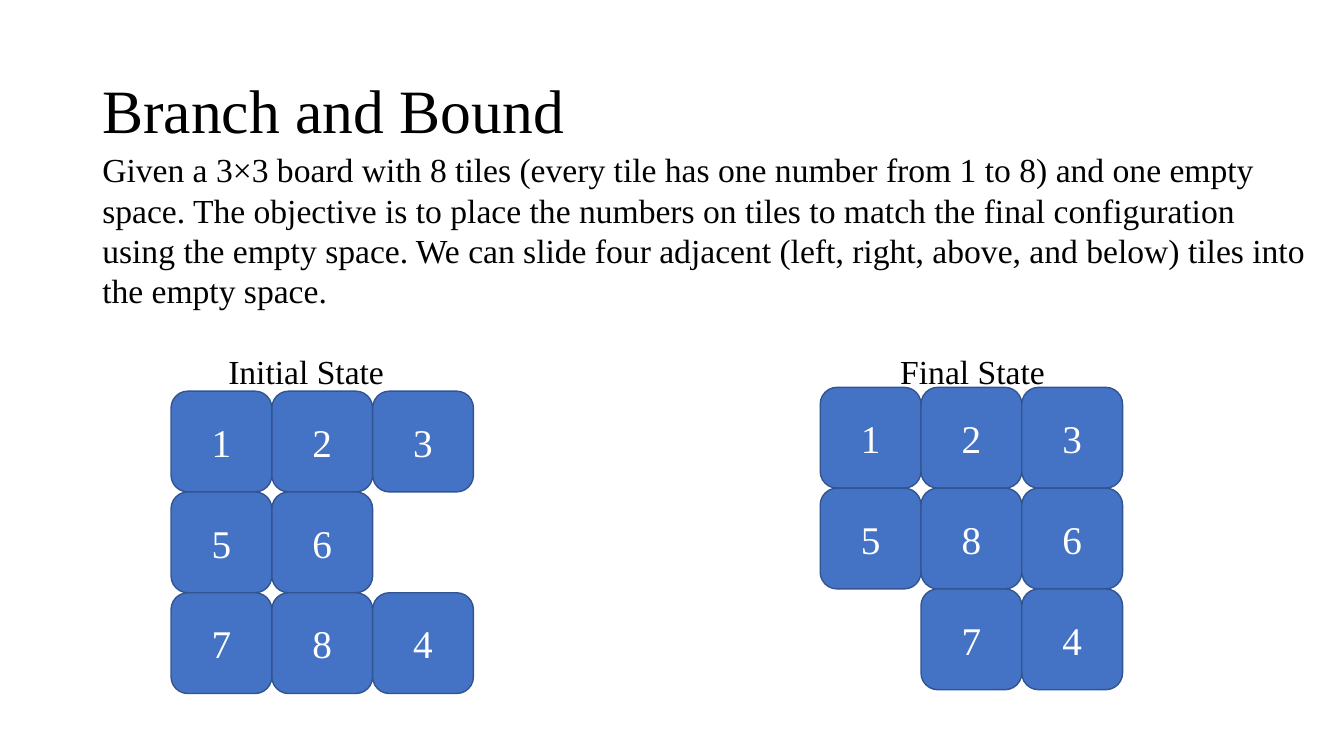
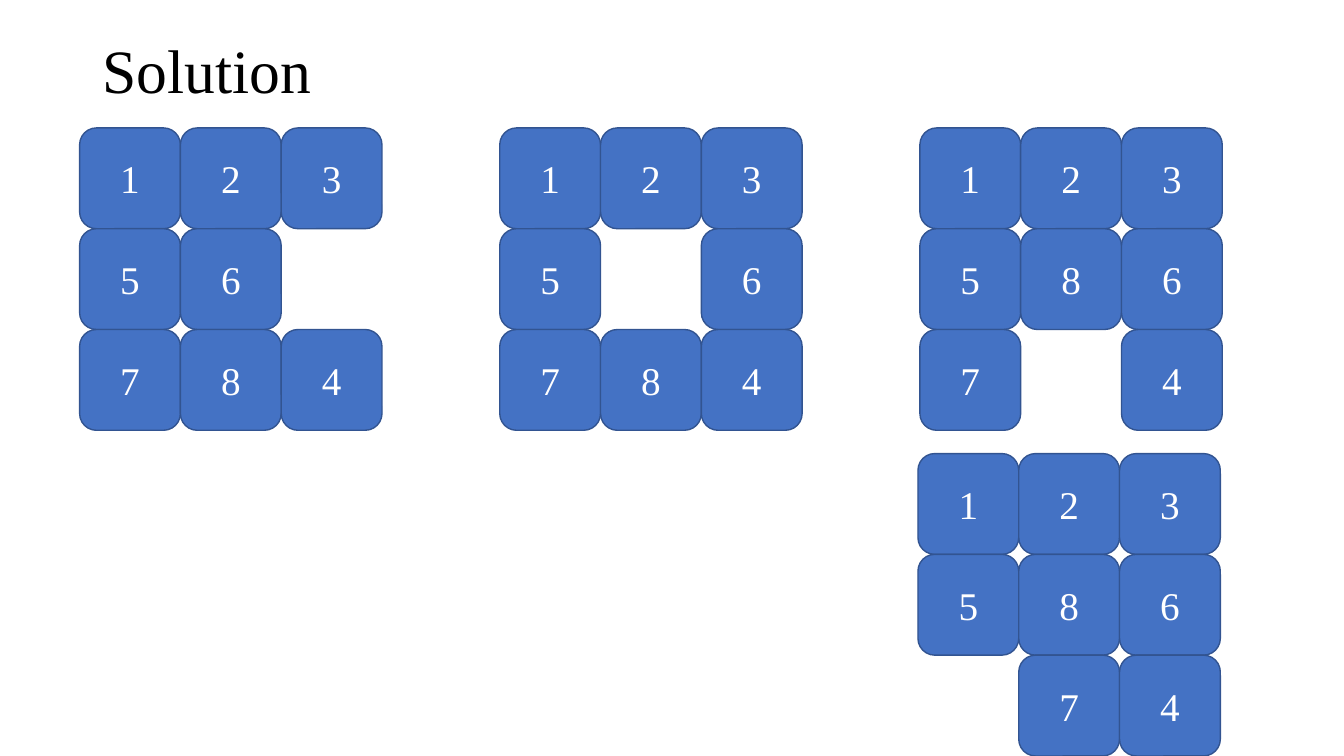
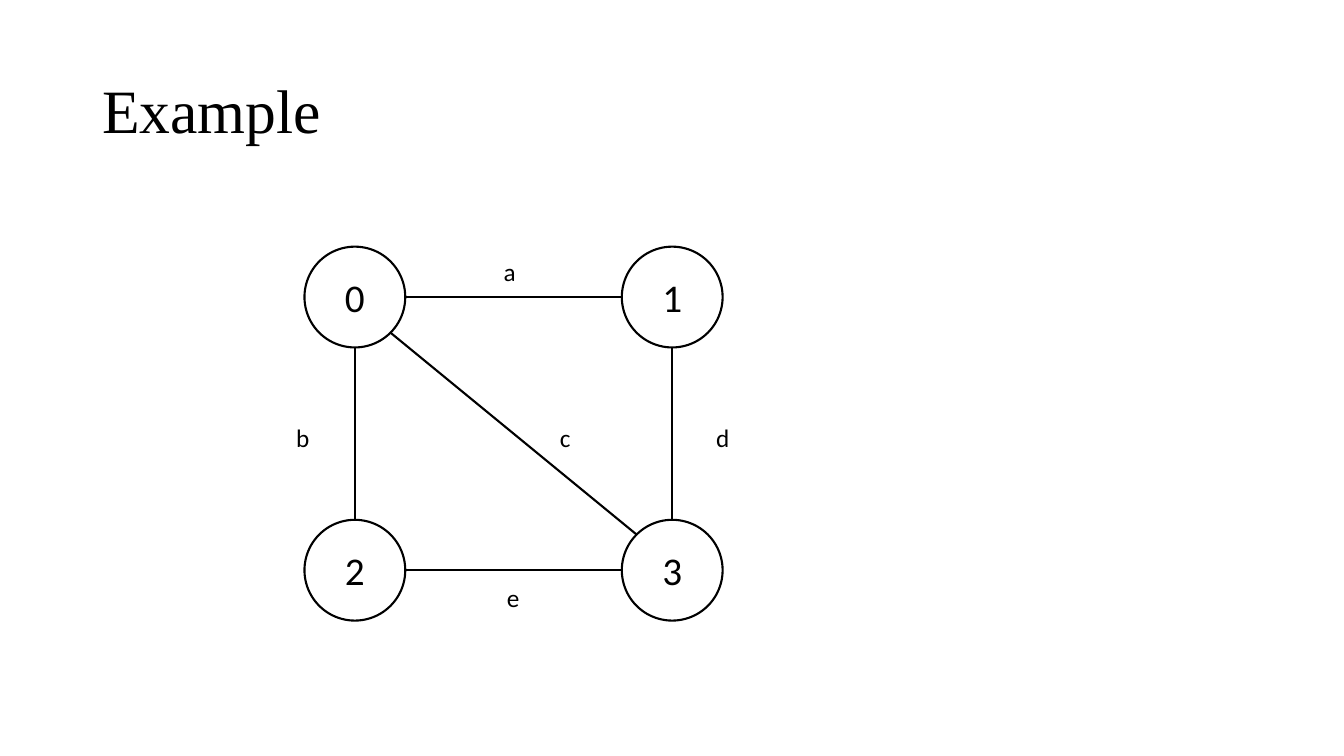
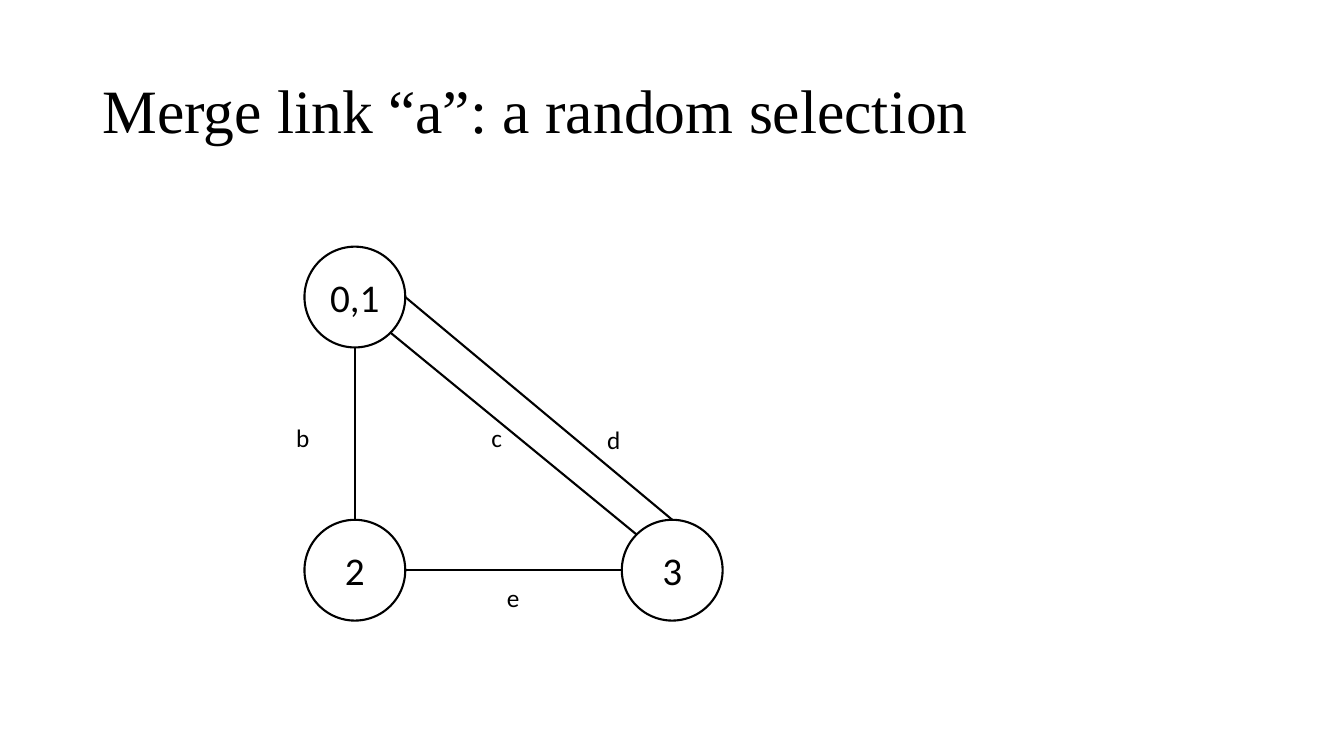
from math import cos, radians, sin

from lxml.etree import SubElement
from pptx import Presentation
from pptx.dml.color import RGBColor
from pptx.enum.shapes import MSO_CONNECTOR, MSO_SHAPE
from pptx.enum.text import MSO_ANCHOR, PP_ALIGN
from pptx.oxml.ns import qn
from pptx.util import Pt

COLORS = {"text": "000000", "paper": "FFFFFF", "tile": "4472C4", "tile_edge": "325491"}
SERIF, SANS = "Times New Roman", "Calibri"
SIZE = 72  # side of a tile and diameter of a node

PROBLEM = (
    "Given a 3×3 board with 8 tiles (every tile has one number from 1 to 8) and one "
    "empty space. The objective is to place the numbers on tiles to match the final "
    "configuration using the empty space. We can slide four adjacent (left, right, "
    "above, and below) tiles into the empty space."
)
STATE_LABELS = [("Initial State", 90), ("Final State", 570)]  # text, tab stop

# Board rows, with 0 for the empty space
INITIAL = [(1, 2, 3), (5, 6, 0), (7, 8, 4)]
MOVE_1 = [(1, 2, 3), (5, 0, 6), (7, 8, 4)]
MOVE_2 = [(1, 2, 3), (5, 8, 6), (7, 0, 4)]
FINAL = [(1, 2, 3), (5, 8, 6), (0, 7, 4)]

# Each slide: title, title top, boards as (rows, left, top)
BOARD_SLIDES = [
    ("Branch and Bound", 28.75, [(INITIAL, 122.2, 279.4), (FINAL, 585.9, 276.7)]),
    ("Solution", 0, [
        (INITIAL, 56.9, 91.4), (MOVE_1, 357, 91.4), (MOVE_2, 657.1, 91.4),
        (FINAL, 655.7, 324),
    ]),
]

# Node centres
LEFT, RIGHT, UPPER, LOWER = 253.5, 480.2, 212.2, 407.3
CORNERS = {"0": (LEFT, UPPER), "1": (RIGHT, UPPER), "2": (LEFT, LOWER), "3": (RIGHT, LOWER)}
# Degrees clockwise from the right-hand side of a node
EAST, SOUTHEAST, SOUTH, WEST, NORTHWEST, NORTH = 0, 45, 90, 180, 225, 270

# Each slide: title, node captions, edges as (from, side, to, side), labels as (text, left, top)
GRAPH_SLIDES = [
    ("Example",
     {"0": "0", "1": "1", "2": "2", "3": "3"},
     [("0", EAST, "1", WEST), ("1", SOUTH, "3", NORTH), ("0", SOUTH, "2", NORTH),
      ("2", EAST, "3", WEST), ("0", SOUTHEAST, "3", NORTHWEST)],
     [("a", 352.6, 179.5), ("b", 204.5, 298), ("c", 392.8, 298), ("d", 504.5, 298),
      ("e", 355, 412.6)]),
    ("Merge link “a”: a random selection",
     {"0": "0,1", "2": "2", "3": "3"},
     [("0", SOUTH, "2", NORTH), ("2", EAST, "3", WEST),
      ("0", SOUTHEAST, "3", NORTHWEST), ("0", EAST, "3", NORTH)],
     [("b", 204.5, 298), ("c", 343.9, 298), ("d", 426.5, 299.3), ("e", 355, 412.6)]),
]


def rgb(name):
    return RGBColor.from_string(COLORS[name])


def style(p, font, size, color="text"):
    p.font.name, p.font.size, p.font.color.rgb = font, Pt(size), rgb(color)


def add_text(s, text, left, top, width, height, font, size, wrap=True):
    tf = s.shapes.add_textbox(Pt(left), Pt(top), Pt(width), Pt(height)).text_frame
    tf.word_wrap = wrap
    p = tf.paragraphs[0]
    p.text = text
    style(p, font, size)
    return tf


def add_slide(prs, title, top=28.75):
    s = prs.slides.add_slide(prs.slide_layouts[6])
    tf = add_text(s, title, 66, top, 828, 104.4, SERIF, 44)
    tf.vertical_anchor = MSO_ANCHOR.MIDDLE
    tf.paragraphs[0].line_spacing = 0.9
    return s


def add_block(s, kind, text, left, top, font, fill, edge, edge_width, color):
    """Add a square-framed shape with a centred caption."""
    sp = s.shapes.add_shape(kind, Pt(left), Pt(top), Pt(SIZE), Pt(SIZE))
    sp.shadow.inherit = False
    sp.fill.solid()
    sp.fill.fore_color.rgb = rgb(fill)
    sp.line.color.rgb = rgb(edge)
    sp.line.width = Pt(edge_width)
    sp.text_frame.vertical_anchor = MSO_ANCHOR.MIDDLE
    p = sp.text_frame.paragraphs[0]
    p.text = text
    p.alignment = PP_ALIGN.CENTER
    style(p, font, 28, color)


def add_board(s, rows, left, top):
    for i, row in enumerate(rows):
        for j, number in enumerate(row):
            if number:
                add_block(s, MSO_SHAPE.ROUNDED_RECTANGLE, str(number), left + j * SIZE,
                          top + i * SIZE, SERIF, "tile", "tile_edge", 1, "paper")


def add_problem(s):
    """Add the task text and, on tab stops, the captions of the two boards."""
    tf = add_text(s, PROBLEM, 66, 103, 875, 181.4, SERIF, 24)
    p = tf.add_paragraph()
    p.space_before = Pt(28.8)
    tabs = SubElement(p._p.get_or_add_pPr(), qn("a:tabLst"))
    for _, stop in STATE_LABELS:
        SubElement(tabs, qn("a:tab"), pos=str(Pt(stop)), algn="l")
    p.add_run().text = "".join("\t" + label for label, _ in STATE_LABELS)
    style(p, SERIF, 24)


def rim_point(node, angle):
    x, y = CORNERS[node]
    a = radians(angle)
    return Pt(x + SIZE / 2 * cos(a)), Pt(y + SIZE / 2 * sin(a))


def add_edge(s, start, start_side, end, end_side):
    line = s.shapes.add_connector(
        MSO_CONNECTOR.STRAIGHT, *rim_point(start, start_side), *rim_point(end, end_side))
    line.line.color.rgb = rgb("text")
    line.line.width = Pt(1.5)
    SubElement(line._element.spPr, qn("a:effectLst"))


def add_graph(s, nodes, edges, labels):
    for node, caption in nodes.items():
        x, y = CORNERS[node]
        add_block(s, MSO_SHAPE.OVAL, caption, x - SIZE / 2, y - SIZE / 2,
                  SANS, "paper", "text", 1.5, "text")
    for edge in edges:
        add_edge(s, *edge)
    for text, left, top in labels:
        add_text(s, text, left, top, 24, 29, SANS, 18, wrap=False)


def main():
    prs = Presentation()
    prs.slide_width, prs.slide_height = Pt(960), Pt(540)
    for title, top, boards in BOARD_SLIDES:
        s = add_slide(prs, title, top)
        for board in boards:
            add_board(s, *board)
        if title == "Branch and Bound":
            add_problem(s)
    for title, *graph in GRAPH_SLIDES:
        add_graph(add_slide(prs, title), *graph)
    prs.save("out.pptx")


if __name__ == "__main__":
    main()
